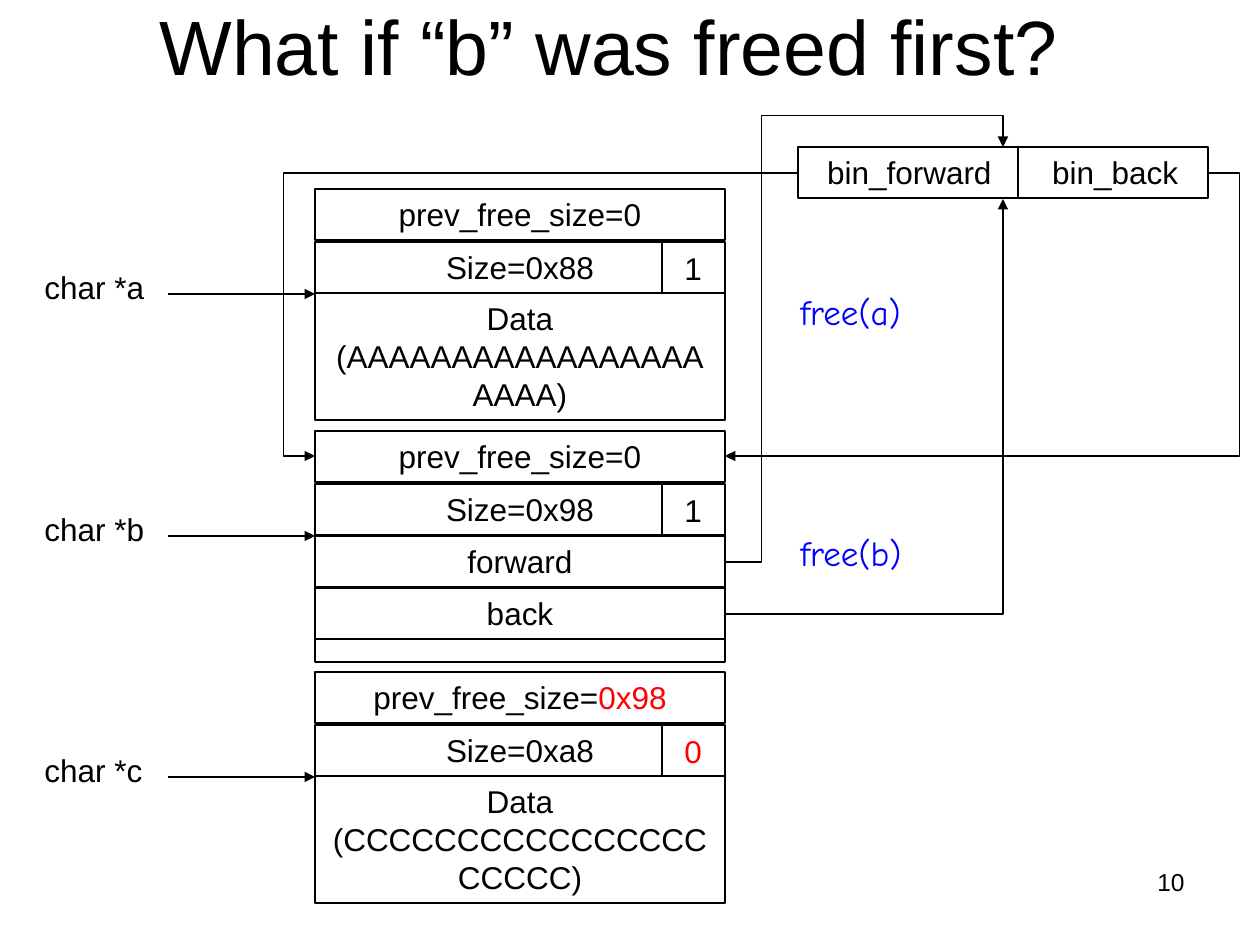
import pptx
import pptx.util
import pptx.dml.color
import pptx.enum.shapes
import pptx.enum.text
import pptx.oxml
import pptx.oxml.ns
import lxml.etree

COLORS = {"ink": "000000", "alert": "FF0000", "call": "0000FF"}
ALIGN = pptx.enum.text.PP_ALIGN
ANCHOR = pptx.enum.text.MSO_ANCHOR
KIND = pptx.enum.shapes.MSO_CONNECTOR
PX = pptx.util.Inches(1) / 126
qn = pptx.oxml.ns.qn

deck = pptx.Presentation()
deck.slide_width, deck.slide_height = round(1260 * PX), round(945 * PX)
page = deck.slides.add_slide(deck.slide_layouts[5])


def add_box(left, top, width, height, *spans, outlined=False, align=ALIGN.LEFT, size=18, font="Arial"):
    """Place text spans, each a (text, colour) pair, in a box with or without an outline."""
    place = [round(value * PX) for value in (left, top, width, height)]
    if outlined:
        box = page.shapes.add_shape(pptx.enum.shapes.MSO_SHAPE.RECTANGLE, *place)
        box.shadow.inherit = False
        box.fill.background()
        box.line.width = pptx.util.Pt(0.75)
        box.line.color.rgb = pptx.dml.color.RGBColor.from_string(COLORS["ink"])
    else:
        box = page.shapes.add_textbox(*place)
    box.text_frame.word_wrap = True
    box.text_frame.vertical_anchor = ANCHOR.TOP
    para = box.text_frame.paragraphs[0]
    para.alignment = align
    for text, color in spans:
        span = para.add_run()
        span.text = text
        for name, value in {"name": font, "size": pptx.util.Pt(size)}.items():
            setattr(span.font, name, value)
        span.font.color.rgb = pptx.dml.color.RGBColor.from_string(COLORS[color])
    return box


def add_line(start, end, arrow=False, bend=None, adjust=()):
    """Draw a straight line, or an elbow of preset `bend` with its adjust values."""
    kind = KIND.ELBOW if bend else KIND.STRAIGHT
    line = page.shapes.add_connector(kind, *[round(value * PX) for value in (*start, *end)])
    line.line.width = pptx.util.Pt(0.75)
    line.line.color.rgb = pptx.dml.color.RGBColor.from_string(COLORS["ink"])
    properties = line._element.spPr
    if arrow:
        lxml.etree.SubElement(properties.find(qn("a:ln")), qn("a:tailEnd"), type="triangle")
    lxml.etree.SubElement(properties, qn("a:effectLst"))
    if bend:
        geometry = properties.find(qn("a:prstGeom"))
        geometry.set("prst", bend)
        guides = geometry.find(qn("a:avLst"))
        for number, value in enumerate(adjust, 1):
            name = "adj" if bend == "bentConnector2" else f"adj{number}"
            lxml.etree.SubElement(guides, qn("a:gd"), name=name, fmla=f"val {round(value * 100000)}")


# Title
title = page.shapes.title
title.left, title.top, title.width, title.height = [round(value * PX) for value in (53, -10, 1134, 109)]
title.text_frame.text = "What if “b” was freed first? "
title.text_frame.vertical_anchor = ANCHOR.MIDDLE
para = title.text_frame.paragraphs[0]
para.alignment = ALIGN.CENTER
for name, value in {"name": "Arial", "size": pptx.util.Pt(44)}.items():
    setattr(para.font, name, value)
para.font.color.rgb = pptx.dml.color.RGBColor.from_string(COLORS["ink"])

# Heap chunks: header rows, in-use flag, data area and the pointer to it
LEFT, WIDTH, ROW = 315, 410, 51
chunks = [
    ("char *a", [("prev_free_size=0", "ink")], "Size=0x88", ("1", "ink"), "Data (AAAAAAAAAAAAAAAAAAAAA)"),
    ("char *b", [("prev_free_size=0", "ink")], "Size=0x98", ("1", "ink"), None),
    ("char *c", [("prev_free_size=", "ink"), ("0x98", "alert")], "Size=0xa8", ("0", "alert"),
     "Data (CCCCCCCCCCCCCCCCCCCCC)"),
]
for index, (pointer, previous, size, flag, data) in enumerate(chunks):
    top = 189 + round(index * 241.5)
    add_box(LEFT, top, WIDTH, ROW, *previous, outlined=True, align=ALIGN.CENTER)
    add_box(LEFT, top + 53, WIDTH, ROW, (size, "ink"), outlined=True, align=ALIGN.CENTER)
    add_line((662, top + 53), (662, top + 105))
    add_box(672, top + 54, 63, ROW, flag)
    contents = [(data, "ink")] if data else []
    add_box(LEFT, top + 104, WIDTH, 127, *contents, outlined=True, align=ALIGN.CENTER)
    add_box(32, top + 73, 136, ROW, (pointer, "ink"))
    add_line((168, top + 105), (LEFT, top + 105), arrow=True)

# List pointers inside the freed chunk
for top, text in ((536, "forward"), (588, "back")):
    add_box(LEFT, top, WIDTH, ROW, (text, "ink"), outlined=True, align=ALIGN.CENTER)

# Bin head: two names set apart by a tab stop
head = add_box(798, 147, WIDTH, ROW, outlined=True)
head.text_frame.margin_left = round(29 * PX)
para = head.text_frame.paragraphs[0]
stops = lxml.etree.SubElement(para._p.get_or_add_pPr(), qn("a:tabLst"))
lxml.etree.SubElement(stops, qn("a:tab"), pos=str(round(225 * PX)), algn="l")
span = para.add_run()
span.text = "bin_forward\tbin_back"
for name, value in {"name": "Arial", "size": pptx.util.Pt(18)}.items():
    setattr(span.font, name, value)
span.font.color.rgb = pptx.dml.color.RGBColor.from_string(COLORS["ink"])
add_line((1018, 147), (1018, 199))

# Links between the bin and the freed chunk
for start, end, bend, adjust in (
    ((798, 173), (315, 456), "bentConnector3", [1.065]),
    ((1208, 173), (725, 456), "bentConnector3", [-0.065]),
    ((725, 562), (1003, 147), "bentConnector4", [0.132, 1.076]),
    ((725, 614), (1003, 199), "bentConnector2", []),
):
    add_line(start, end, arrow=True, bend=bend, adjust=adjust)

# Calls and page number
for top, text in ((525, "free(b)"), (284, "free(a)")):
    add_box(788, top, 221, 55, (text, "call"), size=20, font="Comic Neue")
add_box(903, 861, 294, 66, ("10", "ink"), align=ALIGN.RIGHT, size=14)

deck.save("out.pptx")
